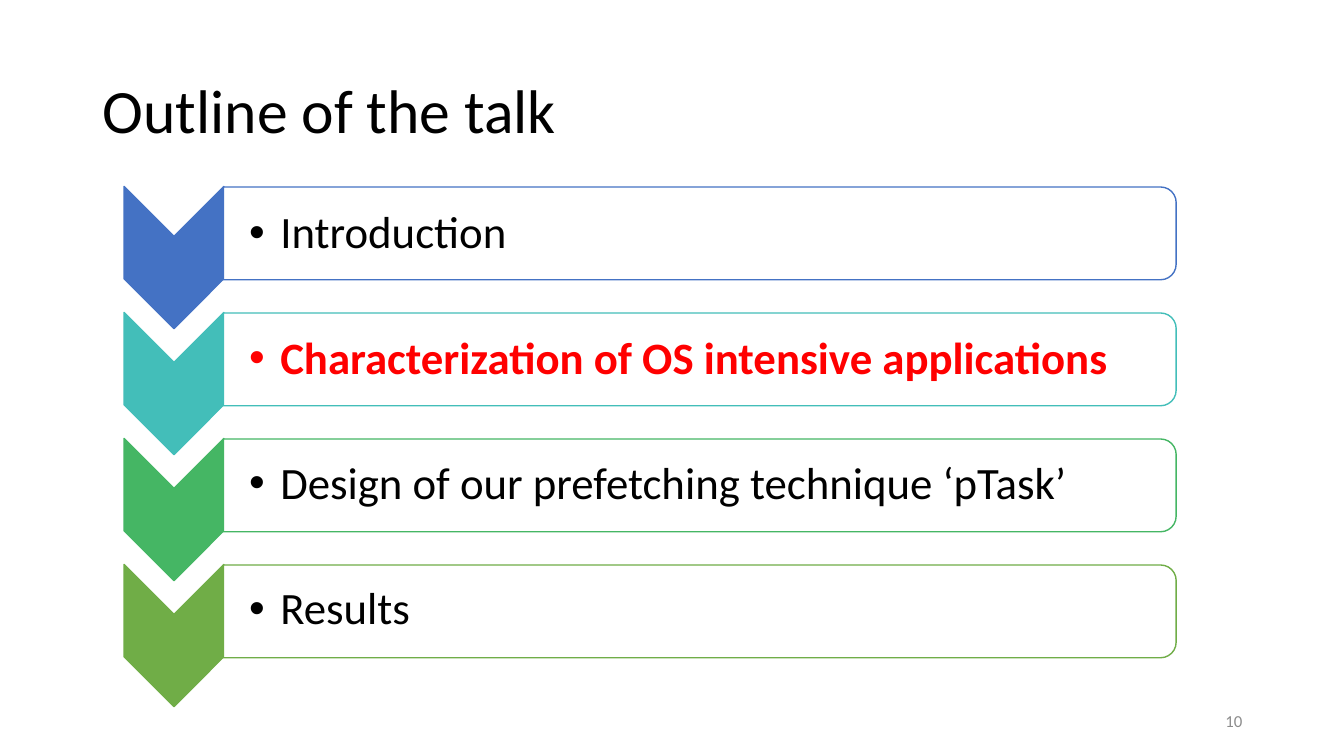
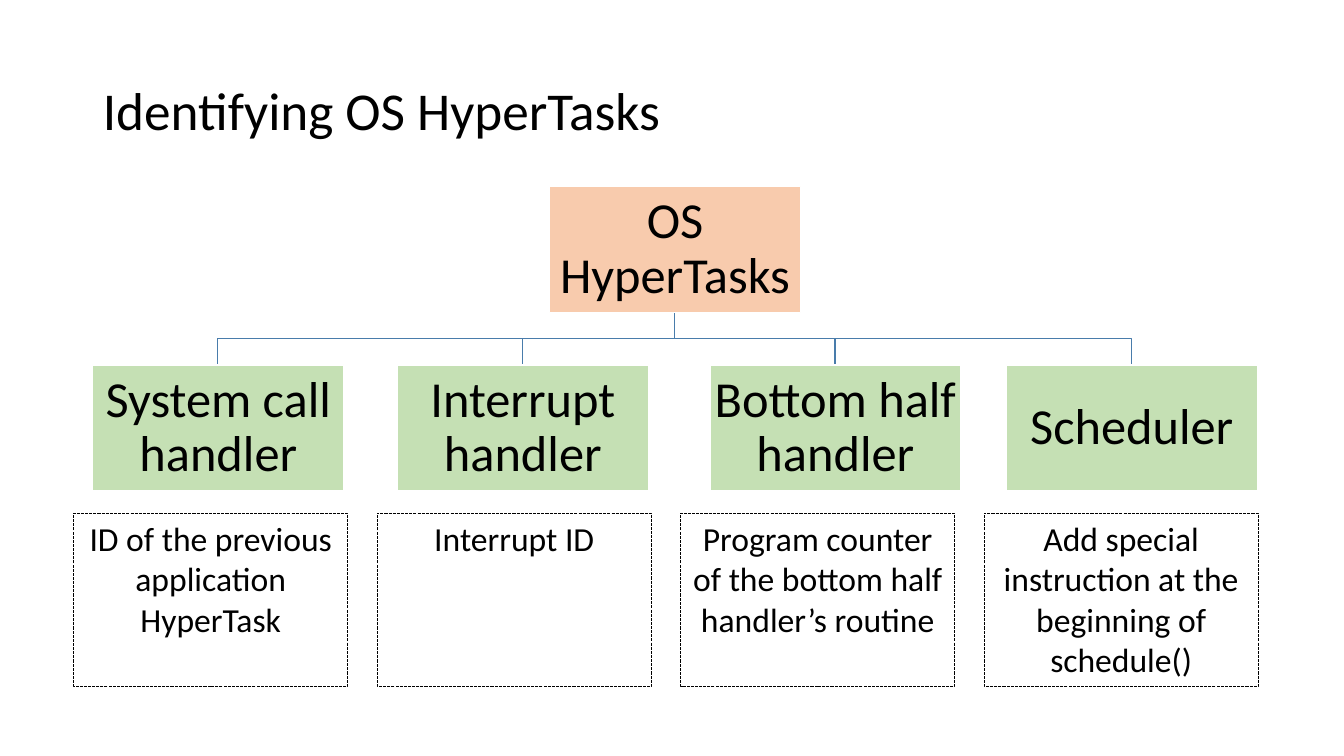
"""Build the outline slide and the HyperTask identification slide."""

import dataclasses
import typing

import pptx
import pptx.dml.color
import pptx.enum.dml
import pptx.enum.shapes
import pptx.enum.text
import pptx.util

EMU_PER_PX = 9144
FONT = "Calibri"
COLOURS = {
    "text": "000000",
    "highlight": "FF0000",
    "page_number": "8C8C8C",
    "paper": "FFFFFF",
    "blue": "4472C4",
    "teal": "43BEB9",
    "green": "45B664",
    "olive": "70AD47",
    "root": "F8CBAD",
    "handler": "C5E0B4",
    "branch": "497CAB",
}

Align = pptx.enum.text.PP_ALIGN
Anchor = pptx.enum.text.MSO_ANCHOR
Preset = pptx.enum.shapes.MSO_SHAPE


@dataclasses.dataclass(frozen=True)
class Area:
    """A rectangle in px."""

    left: int
    top: int
    width: int
    height: int

    @property
    def centre(self) -> int:
        return self.left + self.width // 2

    @property
    def bottom(self) -> int:
        return self.top + self.height


@dataclasses.dataclass(frozen=True)
class Style:
    """Look of a piece of text."""

    size: int
    colour: str = "text"
    bold: bool = False
    align: typing.Any = Align.LEFT
    anchor: typing.Any = Anchor.MIDDLE
    spacing: float = 1.0
    inset: tuple[int, int, int, int] = (10, 5, 10, 5)


@dataclasses.dataclass(frozen=True)
class Topic:
    """One step of the talk."""

    label: str
    colour: str
    current: bool = False


@dataclasses.dataclass(frozen=True)
class Handler:
    """One kind of HyperTask and how it is identified."""

    label: str
    left: int
    note: str


TOPICS = (
    Topic("Introduction", "blue"),
    Topic("Characterization of OS intensive applications", "teal", True),
    Topic("Design of our prefetching technique ‘pTask’", "green"),
    Topic("Results", "olive"),
)
HANDLERS = (
    Handler("System call handler", 92, "ID of the previous application HyperTask"),
    Handler("Interrupt handler", 394, "Interrupt ID"),
    Handler("Bottom half handler", 704,
            "Program counter of the bottom half handler’s routine"),
    Handler("Scheduler", 998,
            "Add special instruction at the beginning of schedule()"),
)
TITLE_AREA = Area(92, 40, 1150, 145)
TOPIC_PITCH = 125
NOTE_PITCH = 301
NODE_STYLE = Style(36, align=Align.CENTER, spacing=0.9, inset=(3, 3, 3, 3))
NOTE_STYLE = Style(24, align=Align.CENTER, anchor=Anchor.TOP)
TOPIC_STYLE = Style(32, spacing=0.9, inset=(25, 2, 2, 2))


def px(length: int) -> pptx.util.Emu:
    """Turn px into EMU."""
    return pptx.util.Emu(length * EMU_PER_PX)


def rgb(name: str) -> pptx.dml.color.RGBColor:
    """Look up a named colour."""
    return pptx.dml.color.RGBColor.from_string(COLOURS[name])


def apply(target: typing.Any, values: dict[str, typing.Any]) -> None:
    """Set every attribute listed in values."""
    for name, value in values.items():
        setattr(target, name, value)


def place(box: typing.Any, area: Area) -> None:
    """Move and size a box."""
    apply(box, {name: px(length) for name, length in dataclasses.asdict(area).items()})


def format_frame(frame: typing.Any, style: Style) -> None:
    """Set wrapping, anchor and insets of a text frame."""
    left, top, right, bottom = map(px, style.inset)
    apply(frame, {
        "word_wrap": True,
        "auto_size": pptx.enum.text.MSO_AUTO_SIZE.NONE,
        "vertical_anchor": style.anchor,
        "margin_left": left,
        "margin_top": top,
        "margin_right": right,
        "margin_bottom": bottom,
    })


def write_para(para: typing.Any, text: str, style: Style, before: int = 0) -> None:
    """Write one formatted paragraph."""
    apply(para, {
        "alignment": style.align,
        "line_spacing": style.spacing,
        "space_before": pptx.util.Pt(before),
        "space_after": pptx.util.Pt(0),
    })
    span = para.add_run()
    span.text = text
    apply(span.font, {
        "name": FONT, "size": pptx.util.Pt(style.size), "bold": style.bold,
    })
    span.font.color.rgb = rgb(style.colour)


def write(box: typing.Any, text: str, style: Style) -> None:
    """Fill a box with a single paragraph."""
    format_frame(box.text_frame, style)
    write_para(box.text_frame.paragraphs[0], text, style)


def paint(box: typing.Any, fill: str | None, line: str, weight: float = 1) -> None:
    """Set fill and outline and drop the shadow."""
    box.shadow.inherit = False
    if fill is None:
        box.fill.background()
    else:
        box.fill.solid()
        box.fill.fore_color.rgb = rgb(fill)
    box.line.color.rgb = rgb(line)
    box.line.width = pptx.util.Pt(weight)


def draw_shape(page: typing.Any, preset: typing.Any, area: Area,
               fill: str | None, line: str, weight: float = 1) -> typing.Any:
    """Draw a painted preset shape."""
    box = page.shapes.add_shape(preset, 0, 0, 0, 0)
    place(box, area)
    paint(box, fill, line, weight)
    return box


def draw_turned(page: typing.Any, preset: typing.Any, area: Area,
                fill: str, line: str) -> None:
    """Draw a shape turned a quarter so that it covers the area."""
    shift = (area.width - area.height) // 2
    upright = Area(area.left + shift, area.top - shift, area.height, area.width)
    draw_shape(page, preset, upright, fill, line).rotation = 90


def add_page(deck: typing.Any, layout: int, title: str, size: int) -> typing.Any:
    """Add a slide with the shared title style."""
    page = deck.slides.add_slide(deck.slide_layouts[layout])
    place(page.shapes.title, TITLE_AREA)
    write(page.shapes.title, title, Style(size, spacing=0.9))
    return page


def write_topics(body: typing.Any) -> None:
    """Write the talk's topics as a bulleted list."""
    place(body, Area(222, 190, 941, 83 + TOPIC_PITCH * (len(TOPICS) - 1)))
    frame = body.text_frame
    format_frame(frame, TOPIC_STYLE)
    for index, topic in enumerate(TOPICS):
        para = frame.add_paragraph() if index else frame.paragraphs[0]
        properties = para._p.get_or_add_pPr()
        properties.set("marL", str(px(31)))
        properties.set("indent", str(px(-31)))
        style = dataclasses.replace(
            TOPIC_STYLE, bold=topic.current,
            colour="highlight" if topic.current else "text")
        write_para(para, topic.label, style, before=55 if index else 0)


def build_outline(deck: typing.Any) -> None:
    """Build the outline of the talk."""
    page = add_page(deck, 1, "Outline of the talk", 44)
    for index, topic in enumerate(TOPICS):
        top = 185 + TOPIC_PITCH * index
        draw_turned(page, Preset.CHEVRON, Area(123, top, 99, 141),
                    topic.colour, topic.colour)
        draw_turned(page, Preset.ROUND_2_SAME_RECTANGLE, Area(222, top, 945, 92),
                    "paper", topic.colour)
    body = page.placeholders[1]
    write_topics(body)
    page.shapes._spTree.append(body._element)
    number = page.shapes.add_textbox(0, 0, 0, 0)
    place(number, Area(942, 695, 300, 40))
    write(number, "10", Style(12, "page_number", align=Align.RIGHT))


def draw_branch(page: typing.Any, parent: Area, child: Area) -> None:
    """Draw the elbow line from parent down to child."""
    middle = (parent.bottom + child.top) // 2
    outline = page.shapes.build_freeform(parent.centre, parent.bottom, EMU_PER_PX)
    outline.add_line_segments(
        [(parent.centre, middle), (child.centre, middle), (child.centre, child.top)],
        close=False)
    paint(outline.convert_to_shape(), None, "branch")


def draw_node(page: typing.Any, area: Area, label: str, fill: str) -> None:
    """Draw one labelled node of the tree."""
    write(draw_shape(page, Preset.RECTANGLE, area, fill, "paper"), label, NODE_STYLE)


def build_tree(deck: typing.Any) -> None:
    """Build the tree of HyperTasks with its notes."""
    page = add_page(deck, 5, "Identifying OS HyperTasks", 38)
    root = Area(545, 185, 249, 125)
    areas = [Area(handler.left, 362, 249, 125) for handler in HANDLERS]
    for area in areas:
        draw_branch(page, root, area)
    draw_node(page, root, "OS HyperTasks", "root")
    for index, (handler, area) in enumerate(zip(HANDLERS, areas)):
        draw_node(page, area, handler.label, "handler")
        note = draw_shape(page, Preset.RECTANGLE,
                          Area(73 + NOTE_PITCH * index, 509, 272, 172),
                          None, "text", 0.75)
        note.line.dash_style = pptx.enum.dml.MSO_LINE.SQUARE_DOT
        write(note, handler.note, NOTE_STYLE)


def main() -> None:
    """Build and save the deck."""
    deck = pptx.Presentation()
    apply(deck, {"slide_width": px(1333), "slide_height": px(750)})
    build_outline(deck)
    build_tree(deck)
    deck.save("out.pptx")


if __name__ == "__main__":
    main()
